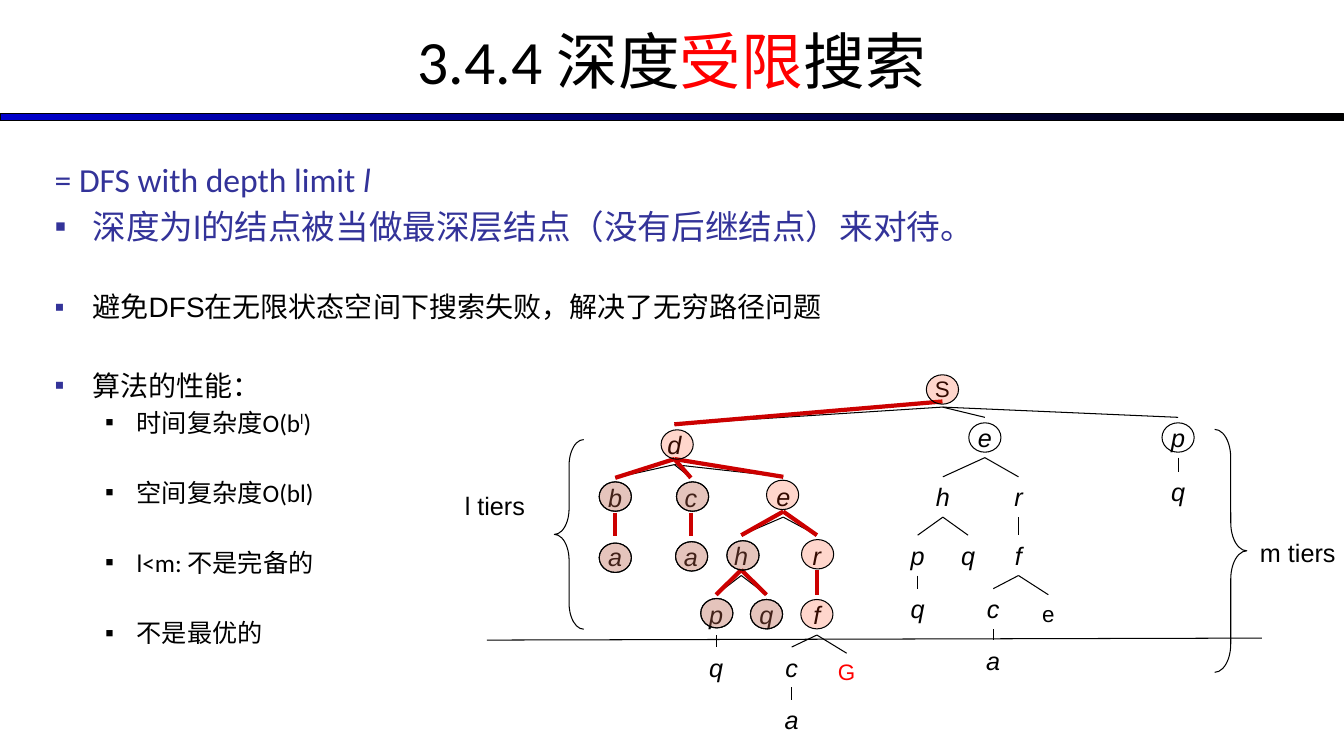
from lxml import etree
from pptx import Presentation
from pptx.dml import color
from pptx.enum import shapes, text
from pptx.oxml import ns
from pptx.util import Pt

BLACK, RED, INDIGO, PATH_RED = "000000", "FF0000", "333399", "CC0000"


def rgb(value):
    return color.RGBColor.from_string(value)


def write(para, content, **formats):
    """Add a run to para; formats are font attributes, with colour as hex."""
    span = para.add_run()
    span.text = content
    span.font.color.rgb = rgb(formats.pop("colour", BLACK))
    for name, value in formats.items():
        setattr(span.font, name, value)
    return span


deck = Presentation()
deck.slide_width, deck.slide_height = Pt(960), Pt(540)
page = deck.slides.add_slide(deck.slide_layouts[5])

# Title and the rule under it
title = page.shapes.title
title.left, title.top, title.width, title.height = Pt(0), Pt(-2), Pt(960), Pt(90)
title.text_frame.vertical_anchor = text.MSO_ANCHOR.MIDDLE
heading = title.text_frame.paragraphs[0]
heading.alignment = text.PP_ALIGN.CENTER
for content, colour in [("3.4.4 深度", BLACK), ("受限", RED), ("搜索", BLACK)]:
    write(heading, content, colour=colour, size=Pt(44), name="Calibri")

bar = page.shapes.add_shape(shapes.MSO_SHAPE.RECTANGLE, Pt(0), Pt(81.4), Pt(960), Pt(5))
bar.shadow.inherit = False
bar.fill.gradient()
bar.fill.gradient_angle = 0
for stop, colour, position in zip(bar.fill.gradient_stops, ["0000CC", BLACK], [0, 1]):
    stop.color.rgb, stop.position = rgb(colour), position
bar.line.color.rgb, bar.line.width = rgb(BLACK), Pt(0.75)

# Body: left margin, hanging indent, bullet colour, space before, size, colour, runs
body_lines = [
    (27, 27, None, 0, 24, INDIGO, [("= DFS with depth limit ", {}), ("l", {"italic": True})]),
    (27, 27, INDIGO, 4.8, 24, INDIGO,
     [("深度为l的结点被当做最深层结点（没有后继结点）来对待。", {})]),
    (27, 27, INDIGO, 31, 20, BLACK,
     [("避免DFS在无限状态空间下搜索失败，", {"name": "Arial"}), ("解决了无穷路径问题", {})]),
    (27, 27, INDIGO, 32, 20, BLACK, [("算法的性能：", {})]),
    (58.5, 22.5, BLACK, 3.6, 18, BLACK,
     [("时间复杂度O(b", {}), ("l", {"raised": True}), (")", {})]),
    (58.5, 22.5, BLACK, 28.5, 18, BLACK, [("空间复杂度O(bl)", {})]),
    (58.5, 22.5, BLACK, 28.5, 18, BLACK, [("l<m: 不是完备的", {})]),
    (58.5, 22.5, BLACK, 28.5, 18, BLACK, [("不是最优的", {})]),
]
body = page.shapes.add_textbox(Pt(32), Pt(110), Pt(896), Pt(372)).text_frame
body.word_wrap = True
for index, (margin, hanging, bullet, before, size, colour, runs) in enumerate(body_lines):
    para = body.add_paragraph() if index else body.paragraphs[0]
    props = para._p.get_or_add_pPr()
    props.set("marL", str(Pt(margin)))
    props.set("indent", str(-Pt(hanging)))
    if bullet:
        tint = etree.SubElement(props, ns.qn("a:buClr"))
        etree.SubElement(tint, ns.qn("a:srgbClr"), val=bullet)
        etree.SubElement(props, ns.qn("a:buFont"), typeface="Arial")
        etree.SubElement(props, ns.qn("a:buChar"), char="▪")
    if before:
        para.space_before = Pt(before)
    for content, formats in runs:
        raised = formats.pop("raised", False)
        span = write(para, content, **{"name": "Calibri", "size": Pt(size),
                                       "colour": colour, **formats})
        if raised:
            span._r.get_or_add_rPr().set("baseline", "30000")

# Search tree: key is the route from the root, its last letter is the label.
# Centre x, top, state, and shift of the circle from the label's centre.
nodes = {
    "S": (673.2, 264.2, "path", 0, 0.7),
    "Sd": (481.7, 303.1, "path", 2, 0),
    "Sdb": (439.5, 341.3, "dead", 0, -1),
    "Sdba": (439.5, 383, "dead", 0, 1),
    "Sdc": (493.5, 341.3, "dead", 1.2, -1),
    "Sdca": (493.5, 383, "dead", 0.5, 0),
    "Sde": (559.5, 340.6, "path", -0.5, -1.5),
    "Sdeh": (529.5, 382.3, "dead", 1.2, 0),
    "Sdehp": (511.5, 424.8, "dead", 0.5, -1.2),
    "Sdehpq": (511.5, 462.2, "", 0, 0),
    "Sdehq": (547.5, 424.8, "dead", 0, -0.5),
    "Sder": (583.5, 382.3, "path", 0.5, -0.8),
    "Sderf": (583.5, 424.8, "path", 0, -0.5),
    "Sderfc": (565.5, 462.2, "", 0, 0),
    "Sderfca": (565.5, 499.7, "", 0, 0),
    "SderfG": (604.8, 466.6, "", 0, 0),
    "Se": (703.5, 298.1, "open", 0, 0),
    "Seh": (673.5, 340.6, "", 0, 0),
    "Sehp": (655.5, 382.3, "", 0, 0),
    "Sehpq": (655.5, 420.5, "", 0, 0),
    "Sehq": (691.5, 382.3, "", 0, 0),
    "Ser": (727.5, 340.6, "", 0, 0),
    "Serf": (727.5, 382.3, "", 0, 0),
    "Serfc": (709.5, 420.5, "", 0, 0),
    "Serfca": (709.5, 457.2, "", 0, 0),
    "Serfe": (748.8, 424.8, "", 0, 0),
    "Sp": (841.5, 298.1, "open", 0, 0),
    "Spq": (841.5, 337, "", 0, 0),
}
upright = {"S", "SderfG", "Serfe"}
heights = {route: 26.6 if route in upright else 28.8 for route in nodes}

labels = [(route[-1], x - 15, top, 30, heights[route], text.PP_ALIGN.CENTER,
           {"size": Pt(16 if route in upright else 18), "italic": route not in upright,
            "colour": RED if route[-1] == "G" else BLACK})
          for route, (x, top, *_) in nodes.items()]
for content, left, top in [("l tiers", 332, 347), ("m tiers", 900, 380)]:
    labels.append((content, left, top, 59, 28.8, text.PP_ALIGN.LEFT, {"size": Pt(18)}))
for content, left, top, width, height, align, formats in labels:
    frame = page.shapes.add_textbox(Pt(left), Pt(top), Pt(width), Pt(height)).text_frame
    frame.word_wrap = True
    frame.margin_left = frame.margin_right = 0
    frame.paragraphs[0].alignment = align
    write(frame.paragraphs[0], content, name="Arial", **formats)

# Thin edges for the whole tree, thick ones for the searched part, and the depth limit
thin, thick = [], []
for route, (x, top, state, *_) in nodes.items():
    if route == "S":
        continue
    parent = route[:-1]
    start_x, start_y = nodes[parent][0], nodes[parent][1] + heights[parent]
    thin.append((start_x, start_y, x, top, BLACK, 0.75))
    if state in ("path", "dead"):
        thick.append((start_x, start_y - 4, x, top, PATH_RED, 3))
limit = (347.8, 457.2, 901.4, 455.8, BLACK, 0.75)
for x1, y1, x2, y2, colour, width in thin + thick + [limit]:
    edge = page.shapes.add_connector(shapes.MSO_CONNECTOR.STRAIGHT,
                                     Pt(x1), Pt(y1), Pt(x2), Pt(y2))
    edge.line.color.rgb, edge.line.width = rgb(colour), Pt(width)
    etree.SubElement(edge._element.spPr, ns.qn("a:effectLst"))

# Circles: dead ends get a grey veil over the red one
veils = {"open": [None], "path": ["FF3300"], "dead": ["FF3300", "808080"], "": []}
outlines = [(shapes.MSO_SHAPE.OVAL, x + dx - 11.5, top + heights[route] / 2 + dy - 10.5,
             23, 21, 0, veil)
            for route, (x, top, state, dx, dy) in nodes.items() for veil in veils[state]]
outlines += [(shapes.MSO_SHAPE.LEFT_BRACE, 396, 314, 21, 135.5, 0, None),
             (shapes.MSO_SHAPE.LEFT_BRACE, 867.6, 306.7, 23, 173.5, 180, None)]
for kind, left, top, width, height, turn, veil in outlines:
    outline = page.shapes.add_shape(kind, Pt(left), Pt(top), Pt(width), Pt(height))
    outline.shadow.inherit = False
    outline.rotation = turn
    outline.line.color.rgb, outline.line.width = rgb(BLACK), Pt(0.75)
    if kind == shapes.MSO_SHAPE.LEFT_BRACE:
        outline.adjustments[0] = 0.88
    if veil:
        outline.fill.solid()
        outline.fill.fore_color.rgb = rgb(veil)
        tint = outline._element.spPr.find(ns.qn("a:solidFill"))[0]
        etree.SubElement(tint, ns.qn("a:alpha"), val="20000")
    else:
        outline.fill.background()

deck.save("out.pptx")
